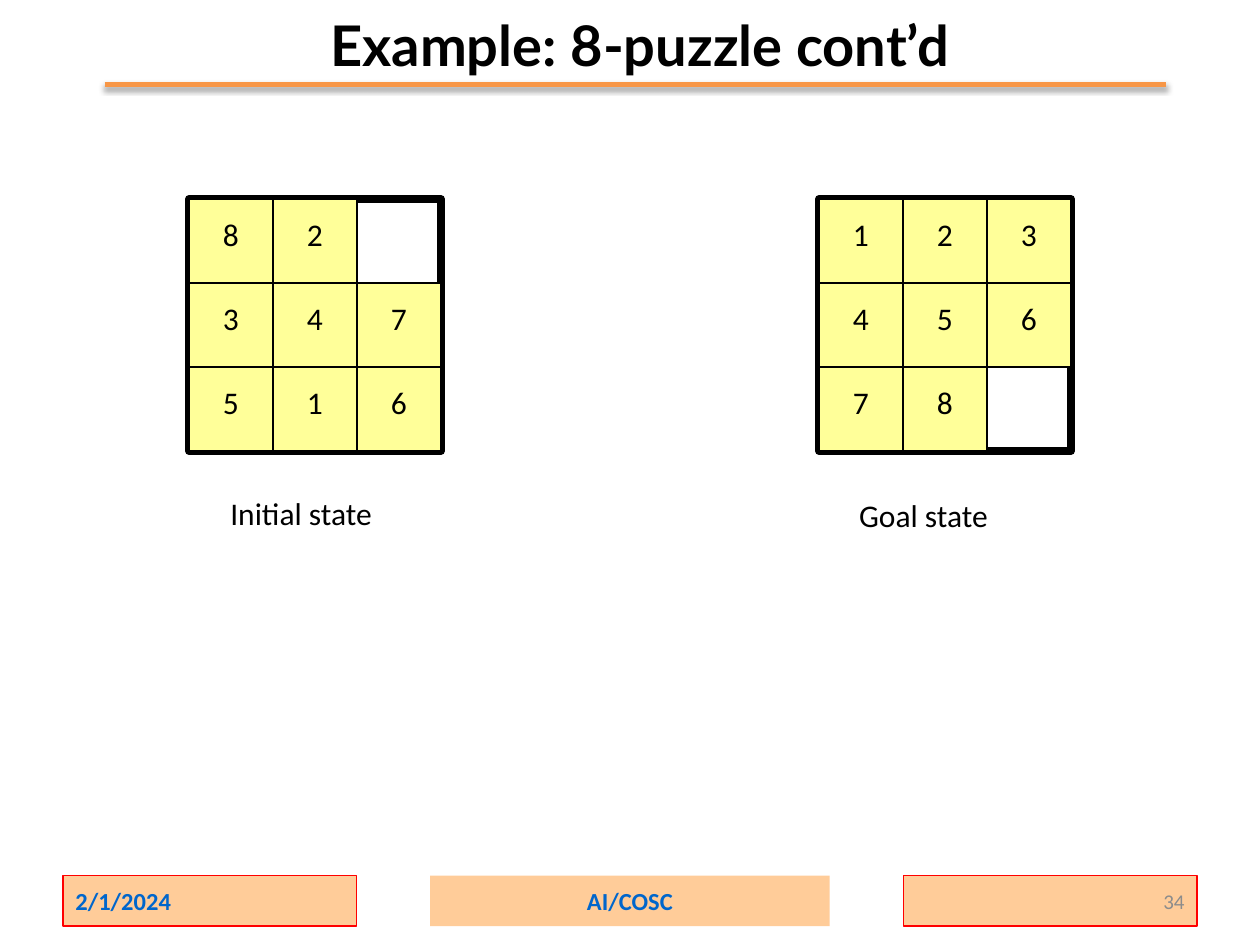
from lxml import etree
from pptx import Presentation
from pptx.dml.color import RGBColor
from pptx.enum.shapes import MSO_CONNECTOR, MSO_SHAPE
from pptx.enum.text import MSO_ANCHOR, MSO_AUTO_SIZE, PP_ALIGN
from pptx.oxml import parse_xml
from pptx.oxml.ns import nsdecls
from pptx.util import Inches, Pt

RECT = MSO_SHAPE.RECTANGLE
STRAIGHT = MSO_CONNECTOR.STRAIGHT
MIDDLE = MSO_ANCHOR.MIDDLE
FIT_TEXT = MSO_AUTO_SIZE.SHAPE_TO_FIT_TEXT
LEFT, CENTER, RIGHT = PP_ALIGN.LEFT, PP_ALIGN.CENTER, PP_ALIGN.RIGHT

BLACK = RGBColor(0x00, 0x00, 0x00)
ORANGE = RGBColor(0xF7, 0x96, 0x46)
YELLOW = RGBColor(0xFF, 0xFF, 0x99)
PEACH = RGBColor(0xFF, 0xCC, 0x99)
RED = RGBColor(0xFF, 0x00, 0x00)
BLUE = RGBColor(0x00, 0x66, 0xCC)
GRAY = RGBColor(0x8C, 0x8C, 0x8C)

INITIAL = ["82 ", "347", "516"]
GOAL = ["123", "456", "78 "]


def set_text(s, text, size, color=BLACK, font="Calibri", bold=False, align=LEFT):
    tf = s.text_frame
    tf.text = text
    tf.word_wrap = True
    p = tf.paragraphs[0]
    p.alignment = align
    r = p.runs[0]
    r.font.name, r.font.size, r.font.bold = font, Pt(size), bold
    r.font.color.rgb = color


def add_rect(shapes, x, y, w, h, fill=None, line=None, weight=0.75):
    s = shapes.add_shape(RECT, Inches(x), Inches(y), Inches(w), Inches(h))
    s.shadow.inherit = False
    if fill is None:
        s.fill.background()
    else:
        s.fill.solid()
        s.fill.fore_color.rgb = fill
    if line is None:
        s.line.fill.background()
    else:
        s.line.color.rgb = line
        s.line.width = Pt(weight)
    return s


def add_label(shapes, text, x, y, w, h=0.5):
    s = shapes.add_textbox(Inches(x), Inches(y), Inches(w), Inches(h))
    set_text(s, text, 18)
    s.text_frame.word_wrap = False
    s.text_frame.auto_size = FIT_TEXT


def add_title(slide, text, x, y, w, h):
    # Rule with a soft shadow below it
    rule_y = Inches(y + 0.67)
    rule = slide.shapes.add_connector(STRAIGHT, Inches(x), rule_y, Inches(x + 8.42), rule_y)
    rule.line.color.rgb = ORANGE
    rule.line.width = Pt(3)
    effects = parse_xml(f"<a:effectLst {nsdecls('a')}/>")
    shadow = etree.SubElement(effects, effects.tag.replace("effectLst", "outerShdw"),
                              blurRad=str(Pt(3.1)), dist=str(Pt(1.8)),
                              dir="5400000", rotWithShape="0")
    color = etree.SubElement(shadow, effects.tag.replace("effectLst", "srgbClr"), val="000000")
    etree.SubElement(color, effects.tag.replace("effectLst", "alpha"), val="35000")
    rule.element.spPr.append(effects)

    # Title text
    s = slide.shapes.add_textbox(Inches(x), Inches(y), Inches(w), Inches(h))
    set_text(s, text, 32, font="Lato", bold=True, align=CENTER)
    s.text_frame.vertical_anchor = MIDDLE


def add_board(slide, rows, x, y, size):
    shapes = slide.shapes.add_group_shape().shapes
    cell = size / 3
    add_rect(shapes, x, y, size, size, line=BLACK, weight=4.5)
    tiles = [(digit, x + col * cell, y + row * cell)
             for row, digits in enumerate(rows)
             for col, digit in enumerate(digits) if digit != " "]
    for digit, left, top in tiles:
        add_rect(shapes, left, top, cell, cell, YELLOW, BLACK)
    for digit, left, top in tiles:
        add_label(shapes, digit, left + 0.17, top + 0.08, 0.38)


def add_footer(slide, x, y, w, h):
    side, middle = 2.33, 3.17
    fields = [
        (x, side, RED, "2/1/2024", 14, BLUE, True, LEFT),
        (x + (w - middle) / 2, middle, None, "AI/COSC", 14, BLUE, True, CENTER),
        (x + w - side, side, RED, "34", 12, GRAY, False, RIGHT),
    ]
    for left, width, line, text, size, color, bold, align in fields:
        s = add_rect(slide.shapes, left, y, width, h, PEACH, line)
        set_text(s, text, size, color, bold=bold, align=align)
        s.text_frame.vertical_anchor = MIDDLE


def main():
    prs = Presentation()
    prs.slide_width, prs.slide_height = Inches(10), Inches(7.5)
    slide = prs.slides.add_slide(prs.slide_layouts[6])
    add_title(slide, "Example: 8-puzzle cont’d", 0.83, 0, 8.5, 0.7)
    # Puzzle boards and their captions
    add_board(slide, INITIAL, 1.5, 1.58, 2)
    add_board(slide, GOAL, 6.5, 1.58, 2)
    add_label(slide.shapes, "Initial state", 1.73, 3.87, 1.85)
    add_label(slide.shapes, "Goal state", 6.72, 3.89, 1.68)
    add_footer(slide, 0.5, 6.95, 9, 0.4)
    prs.save("out.pptx")


if __name__ == "__main__":
    main()
